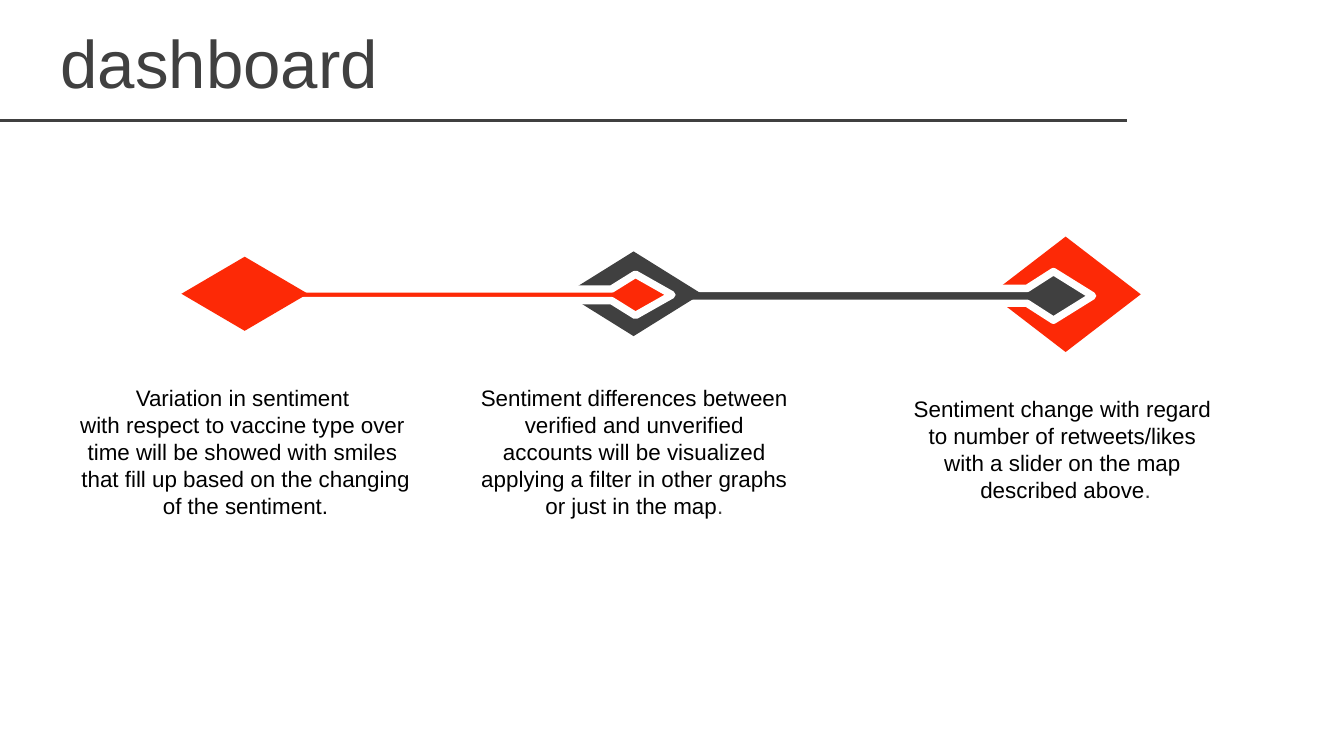
from dataclasses import dataclass

from lxml.etree import SubElement
from pptx import Presentation
from pptx.dml.color import RGBColor
from pptx.enum.shapes import MSO_CONNECTOR, MSO_SHAPE
from pptx.enum.text import MSO_ANCHOR, MSO_AUTO_SIZE, PP_ALIGN
from pptx.oxml.ns import qn
from pptx.util import Cm, Pt

RED = RGBColor(0xFD, 0x29, 0x06)
DARK = RGBColor(0x40, 0x40, 0x40)
BLACK = RGBColor(0, 0, 0)
WHITE = RGBColor(0xFF, 0xFF, 0xFF)


@dataclass(frozen=True)
class Diamond:
    left: float
    top: float
    width: float
    height: float
    color: RGBColor


@dataclass(frozen=True)
class Arrow:
    left: float
    shoulder: float
    peak: float
    tip: float
    middle: float
    half_head: float
    half_stem: float
    color: RGBColor


@dataclass(frozen=True)
class Caption:
    left: float
    top: float
    width: float
    height: float
    lines: tuple[str, ...]
    ending: str = ""


MILESTONES = (
    Diamond(18.72, 4.47, 2.84, 2.18, RED),
    Arrow(12.65, 19.41, 19.91, 20.65, 5.59, 0.46, 0.14, DARK),
    Diamond(10.69, 4.75, 2.57, 1.6, DARK),
    Arrow(5.26, 11.56, 12.01, 12.7, 5.57, 0.39, 0.11, RED),
    Diamond(3.43, 4.85, 2.39, 1.4, RED),
)

CAPTIONS = (
    Caption(1.14, 7.14, 7.01, 2.82, (
        "Variation in sentiment ",
        "with respect to vaccine type over ",
        "time will be showed with smiles ",
        "that fill up based on the changing of the sentiment.",
    )),
    Caption(8.79, 7.14, 6.4, 2.82, (
        "Sentiment differences between verified and unverified",
        " accounts will be visualized ",
        "applying a filter in other graphs or just in the map",
    ), "."),
    Caption(16.94, 7.34, 6.4, 2.31, (
        "Sentiment change with regard ",
        "to number of retweets/likes ",
        "with a slider on the map ",
        "described above",
    ), "."),
)


def set_attributes(target, values: dict) -> None:
    for name, value in values.items():
        setattr(target, name, value)


def add_span(para, text: str, size: int, color: RGBColor) -> None:
    span = para.add_run()
    span.text = text
    set_attributes(span.font, {"name": "Arial", "size": Pt(size), "bold": False})
    span.font.color.rgb = color


def add_title(page, text: str) -> None:
    title = page.shapes.title
    set_attributes(title, {"left": Cm(0.89), "top": Cm(0.36),
                           "width": Cm(20.4), "height": Cm(1.6)})
    set_attributes(title.text_frame, {"vertical_anchor": MSO_ANCHOR.MIDDLE,
                                      "auto_size": MSO_AUTO_SIZE.NONE,
                                      "word_wrap": True})
    para = title.text_frame.paragraphs[0]
    para.alignment = PP_ALIGN.LEFT
    add_span(para, text, 36, DARK)


def add_rule(page) -> None:
    rule = page.shapes.add_connector(
        MSO_CONNECTOR.STRAIGHT, Cm(0), Cm(2.27), Cm(21.3), Cm(2.27))
    rule.line.color.rgb = DARK
    rule.line.width = Pt(1.5)
    SubElement(rule._element.spPr, qn("a:effectLst"))


def paint(shape, color: RGBColor) -> None:
    shape.shadow.inherit = False
    shape.fill.solid()
    shape.fill.fore_color.rgb = color


def add_diamond(page, diamond: Diamond) -> None:
    shape = page.shapes.add_shape(
        MSO_SHAPE.DIAMOND, Cm(diamond.left), Cm(diamond.top),
        Cm(diamond.width), Cm(diamond.height))
    paint(shape, diamond.color)
    shape.line.fill.background()


def add_arrow(page, arrow: Arrow) -> None:
    upper = [(arrow.left, arrow.half_stem), (arrow.shoulder, arrow.half_stem),
             (arrow.peak, arrow.half_head)]
    outline = [(x, arrow.middle - offset) for x, offset in upper]
    outline.append((arrow.tip, arrow.middle))
    outline += [(x, arrow.middle + offset) for x, offset in reversed(upper)]
    points = [(Cm(x), Cm(y)) for x, y in outline]
    builder = page.shapes.build_freeform(*points[0])
    builder.add_line_segments(points[1:], close=True)
    shape = builder.convert_to_shape()
    paint(shape, arrow.color)
    shape.line.color.rgb = WHITE
    shape.line.width = Pt(4)


def add_caption(page, caption: Caption) -> None:
    box = page.shapes.add_textbox(Cm(caption.left), Cm(caption.top),
                                  Cm(caption.width), Cm(caption.height))
    frame = box.text_frame
    set_attributes(frame, {"word_wrap": True,
                           "auto_size": MSO_AUTO_SIZE.SHAPE_TO_FIT_TEXT})
    for index, line in enumerate(caption.lines):
        para = frame.add_paragraph() if index else frame.paragraphs[0]
        para.alignment = PP_ALIGN.CENTER
        add_span(para, line, 12, BLACK)
    if caption.ending:
        add_span(para, caption.ending, 12, DARK)


def main() -> None:
    deck = Presentation()
    set_attributes(deck, {"slide_width": Cm(25.4), "slide_height": Cm(14.28)})
    page = deck.slides.add_slide(deck.slide_layouts.get_by_name("Title Only"))
    add_rule(page)
    add_title(page, "dashboard")
    for caption in CAPTIONS:
        add_caption(page, caption)
    for milestone in MILESTONES:
        if isinstance(milestone, Diamond):
            add_diamond(page, milestone)
        else:
            add_arrow(page, milestone)
    deck.save("out.pptx")


if __name__ == "__main__":
    main()
